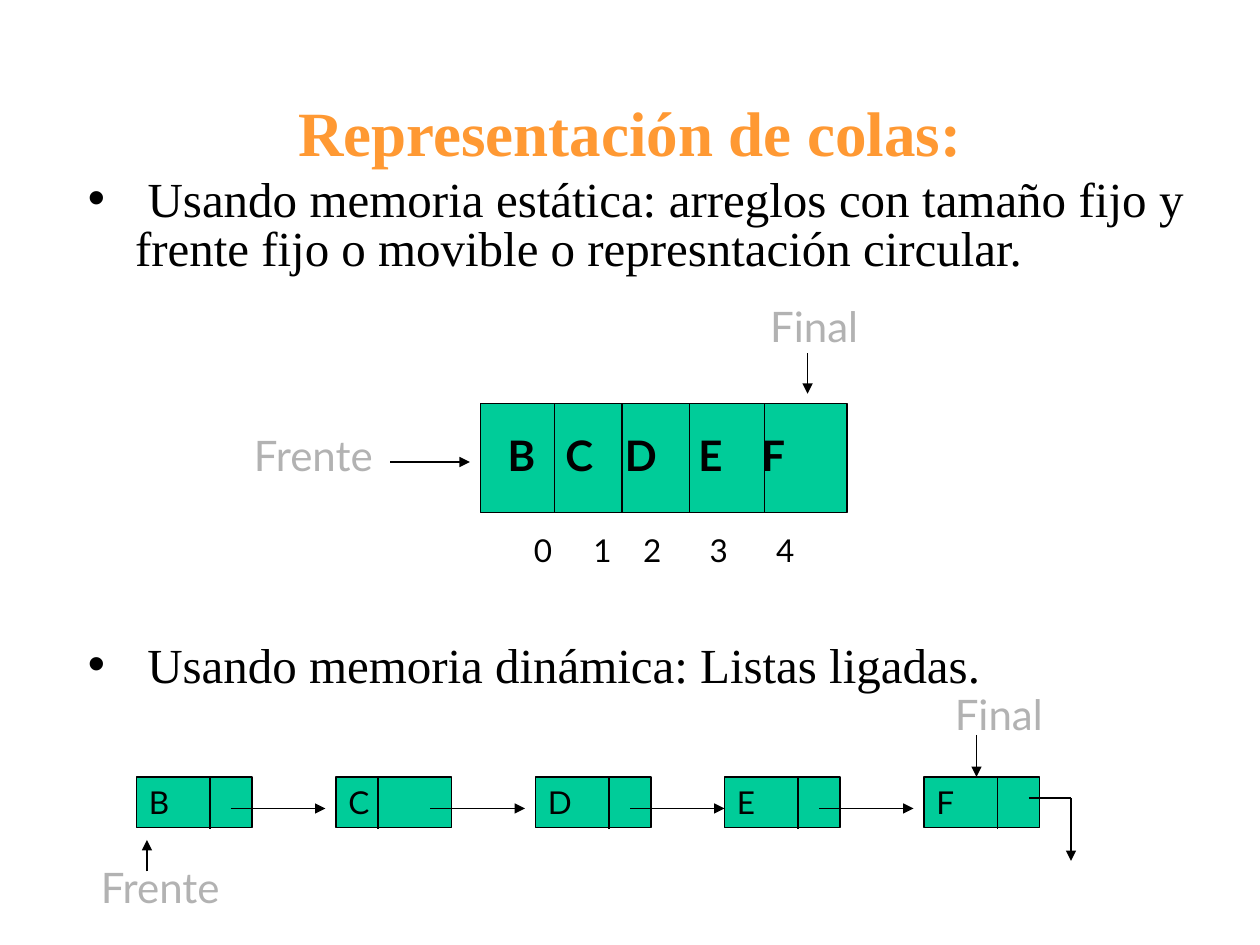
from lxml import etree
from pptx import Presentation
from pptx.dml import color
from pptx.enum import shapes, text
from pptx.oxml import ns
from pptx.util import Pt

COLORS = {"title": "FF9933", "ink": "000000", "label": "B2B2B2", "cell": "00CC99"}
SERIF, SANS = "Times New Roman", "Lato"

TITLE = "Representación de colas:"
BULLETS = [
    (" Usando memoria estática: arreglos con tamaño fijo y frente fijo o movible o represntación circular.", 0),
    (" Usando memoria dinámica: Listas ligadas.", 210),
]
ARRAY = {"left": 274.5, "top": 230.5, "width": 209.5, "height": 62.5}
ARRAY_DIVIDERS = [317, 355.5, 394, 437]
TABBED_ROWS = [
    (["B", "C", "D", "E", "F"], (283, 242, 201, 36), 24, True, [33, 67, 109, 145]),
    (["0", "1", "2", "3", "4"], (298, 300, 174, 29), 18, False, [34, 62.5, 100.5, 138.5]),
]
LABELS = [
    ("Frente", (138, 242, 90, 36)),
    ("Final", (433, 168, 73, 36)),
    ("Frente", (50.5, 489, 87, 36)),
    ("Final", (538.5, 390, 68, 36)),
]
NODES = [("B", 78, 42), ("C", 192, 24), ("D", 306, 42), ("E", 414, 42), ("F", 528, 42)]
NODE_TOP, NODE_WIDTH, NODE_HEIGHT = 444, 66, 29
LINK_Y, LINK_OFFSET, LINK_LENGTH = 462, 54, 54
POINTERS = [
    (461.5, 202, 461.5, 225),
    (223, 264, 268.5, 264),
    (612, 456, 612, 492),
    (558, 420, 558, 444),
    (84, 498, 84, 480),
]


def rgb(name):
    return color.RGBColor.from_string(COLORS[name])


def format_text(para, size, hue, font, bold=False):
    for span in para.runs:
        span.font.size = Pt(size)
        span.font.name = font
        span.font.bold = bold
        span.font.color.rgb = rgb(hue)


def place(box, left, top, width, height):
    box.left, box.top, box.width, box.height = map(Pt, (left, top, width, height))


def add_bullet(para, margin, hanging):
    props = para._p.get_or_add_pPr()
    props.set("marL", str(Pt(margin)))
    props.set("indent", str(-Pt(hanging)))
    bullet = etree.SubElement(props, ns.qn("a:buChar"))
    bullet.set("char", "•")


def add_tabs(para, stops):
    tabs = etree.SubElement(para._p.get_or_add_pPr(), ns.qn("a:tabLst"))
    for stop in stops:
        tab = etree.SubElement(tabs, ns.qn("a:tab"))
        tab.set("pos", str(Pt(stop)))
        tab.set("algn", "l")


def add_line(page, x1, y1, x2, y2, arrow=False):
    line = page.shapes.add_connector(shapes.MSO_CONNECTOR.STRAIGHT, Pt(x1), Pt(y1), Pt(x2), Pt(y2))
    line.line.color.rgb = rgb("ink")
    line.line.width = Pt(0.75)
    if arrow:
        etree.SubElement(line.line._get_or_add_ln(), ns.qn("a:tailEnd")).set("type", "triangle")
    etree.SubElement(line._element.spPr, ns.qn("a:effectLst"))


def add_cell(page, left, top, width, height):
    cell = page.shapes.add_shape(shapes.MSO_SHAPE.RECTANGLE, Pt(left), Pt(top), Pt(width), Pt(height))
    cell.shadow.inherit = False
    cell.fill.solid()
    cell.fill.fore_color.rgb = rgb("cell")
    cell.line.color.rgb = rgb("ink")
    cell.line.width = Pt(0.75)
    return cell


def add_text(page, words, area, size, hue, bold=False):
    box = page.shapes.add_textbox(*map(Pt, area))
    box.text_frame.word_wrap = True
    box.text_frame.text = words
    para = box.text_frame.paragraphs[0]
    format_text(para, size, hue, SANS, bold)
    return para


def add_headings(page):
    title, body = page.placeholders
    place(title, 36, 54, 648, 42)
    frame = title.text_frame
    frame.auto_size = text.MSO_AUTO_SIZE.NONE
    frame.vertical_anchor = text.MSO_ANCHOR.MIDDLE
    frame.margin_top = frame.margin_bottom = 0
    frame.text = TITLE
    frame.paragraphs[0].alignment = text.PP_ALIGN.CENTER
    format_text(frame.paragraphs[0], 36, "title", SERIF, True)

    place(body, 36, 98, 648, 382)
    frame = body.text_frame
    frame.auto_size = text.MSO_AUTO_SIZE.NONE
    frame.text = "\n".join(words for words, gap in BULLETS)
    for para, (words, gap) in zip(frame.paragraphs, BULLETS):
        para.alignment = text.PP_ALIGN.JUSTIFY
        para.line_spacing = 0.84
        para.space_before = Pt(gap)
        add_bullet(para, 34, 27)
        format_text(para, 28, "ink", SERIF)


def add_array(page):
    add_cell(page, **ARRAY)
    for x in ARRAY_DIVIDERS:
        add_line(page, x, ARRAY["top"], x, ARRAY["top"] + ARRAY["height"])
    for items, area, size, bold, stops in TABBED_ROWS:
        add_tabs(add_text(page, "\t".join(items), area, size, "ink", bold), stops)


def add_linked_list(page):
    for letter, left, divider in NODES:
        cell = add_cell(page, left, NODE_TOP, NODE_WIDTH, NODE_HEIGHT)
        cell.text_frame.text = letter
        para = cell.text_frame.paragraphs[0]
        para.alignment = text.PP_ALIGN.LEFT
        format_text(para, 18, "ink", SANS)
        add_line(page, left + divider, NODE_TOP, left + divider, NODE_TOP + NODE_HEIGHT + 1)
    for letter, left, divider in NODES[:-1]:
        start = left + LINK_OFFSET
        add_line(page, start, LINK_Y, start + LINK_LENGTH, LINK_Y, arrow=True)
    add_line(page, 588, 456, 612, 456)


def main():
    deck = Presentation()
    deck.slide_width, deck.slide_height = Pt(720), Pt(540)
    page = deck.slides.add_slide(deck.slide_layouts[1])
    add_headings(page)
    add_array(page)
    add_linked_list(page)
    for words, area in LABELS:
        add_text(page, words, area, 24, "label")
    for ends in POINTERS:
        add_line(page, *ends, arrow=True)
    deck.save("out.pptx")


if __name__ == "__main__":
    main()
